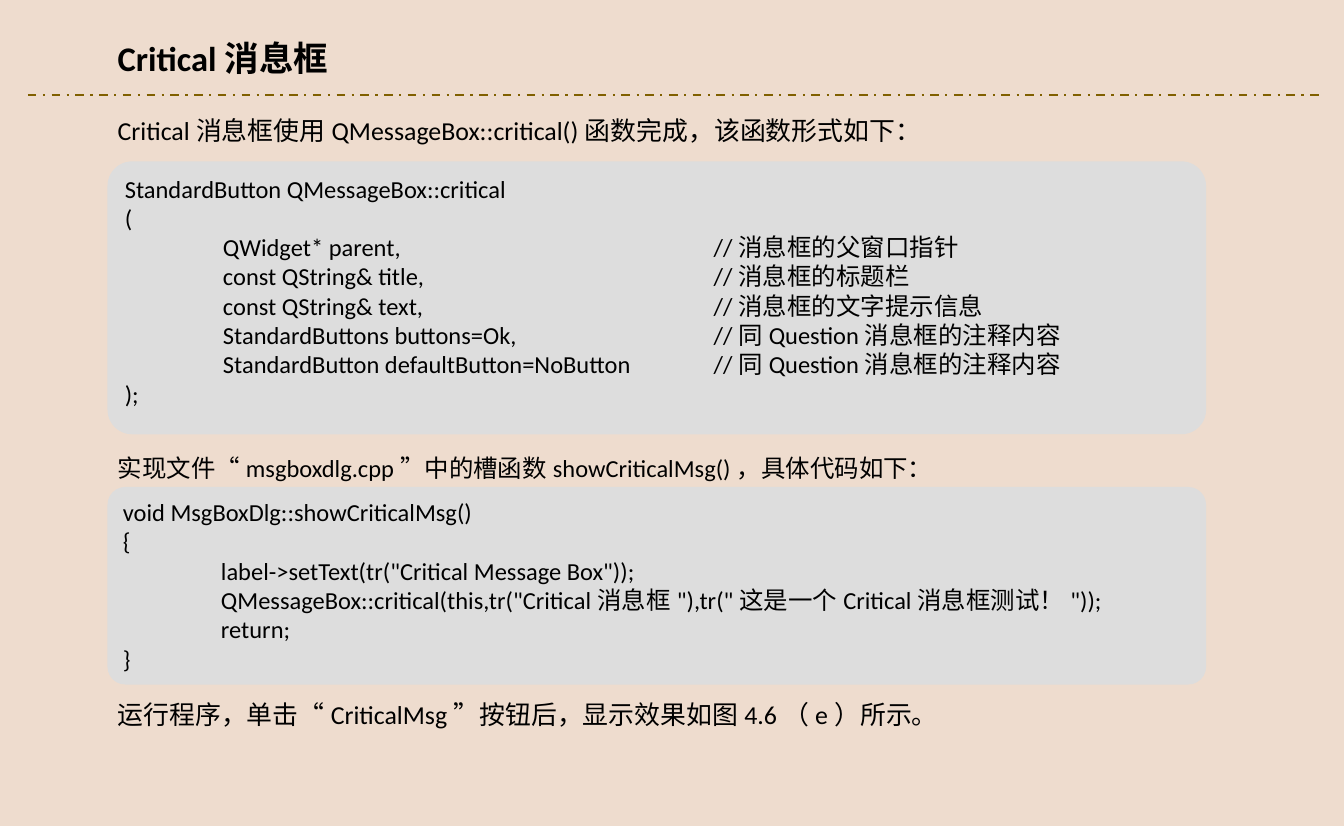
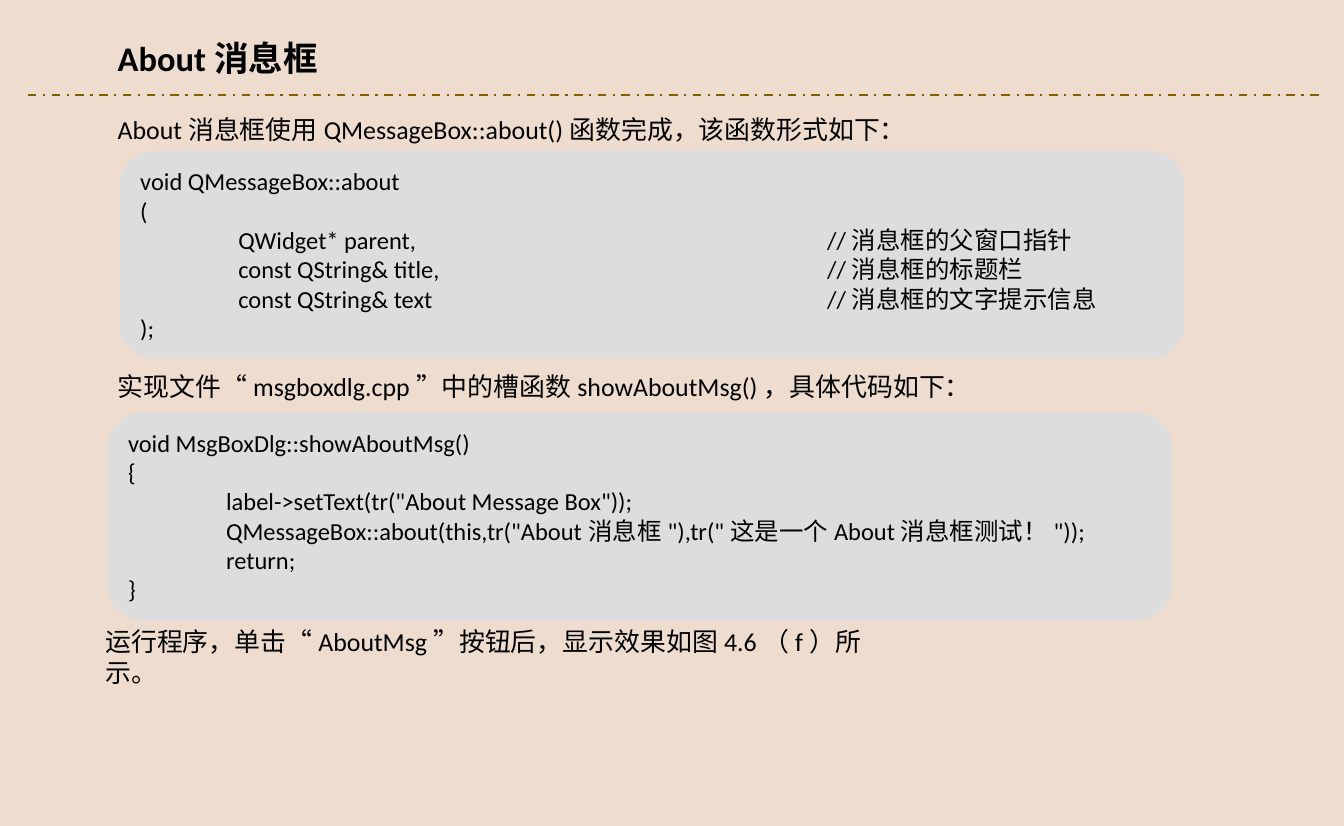
from lxml.etree import SubElement
from pptx import Presentation
from pptx.dml.color import RGBColor
from pptx.enum.dml import MSO_LINE
from pptx.enum.shapes import MSO_CONNECTOR, MSO_SHAPE
from pptx.enum.text import MSO_ANCHOR, PP_ALIGN
from pptx.oxml.ns import qn
from pptx.util import Pt

FONT = "Calibri"
SAND = RGBColor(0xEE, 0xDC, 0xCE)
GREY = RGBColor(0xDD, 0xDD, 0xDD)
BROWN = RGBColor(0x80, 0x60, 0x00)
BLACK = RGBColor(0, 0, 0)

TAB = 68.3  # width of one code indent
LEFT = 74.8


def fill_text(tf, lines, size, bold=False):
    tf.word_wrap = True
    tf.text = "\n".join(lines)
    for p in tf.paragraphs:
        p.alignment = PP_ALIGN.LEFT
        for r in p.runs:
            r.font.name, r.font.size, r.font.bold = FONT, Pt(size), bold
            r.font.color.rgb = BLACK


def add_text(s, box, text, size=18, bold=False):
    tb = s.shapes.add_textbox(*map(Pt, box))
    fill_text(tb.text_frame, [text], size, bold)


def add_code(s, box, lines, corner, comment_tab):
    """Grey panel of code; comments start comment_tab indents from the left."""
    sp = s.shapes.add_shape(MSO_SHAPE.ROUNDED_RECTANGLE, *map(Pt, box))
    sp.adjustments[0] = corner
    sp.shadow.inherit = False
    sp.fill.solid()
    sp.fill.fore_color.rgb = GREY
    sp.line.fill.background()
    tf = sp.text_frame
    tf.vertical_anchor = MSO_ANCHOR.TOP
    fill_text(tf, lines, 17)
    for p in tf.paragraphs:
        tabs = SubElement(p._p.get_or_add_pPr(), qn("a:tabLst"))
        for stop in (1, comment_tab):
            SubElement(tabs, qn("a:tab"), pos=str(Pt(stop * TAB)), algn="l")


def add_header(s, title):
    rule = s.shapes.add_connector(MSO_CONNECTOR.STRAIGHT, Pt(19.4), Pt(66.2), Pt(920.9), Pt(66.2))
    rule.line.color.rgb = BROWN
    rule.line.width = Pt(1.5)
    rule.line.dash_style = MSO_LINE.DASH_DOT
    SubElement(rule._element.spPr, qn("a:effectLst"))
    add_text(s, (LEFT, 22.3, 334, 36), title, 24, True)


def signature(result, kind, params):
    """Code lines of a message box function with commented parameters."""
    return [f"{result} QMessageBox::{kind.lower()}", "(",
            *(f"\t{param}\t//{note}" for param, note in params), ");"]


def slot(kind):
    return [f"void MsgBoxDlg::show{kind}Msg()", "{",
            f'\tlabel->setText(tr("{kind} Message Box"));',
            f'\tQMessageBox::{kind.lower()}(this,tr("{kind}消息框"),tr("这是一个{kind}消息框测试！"));',
            "\treturn;", "}"]


def message_box_slide(prs, kind, figure, result, params, boxes, corner, comment_tab, slot_size):
    """boxes: intro, signature, slot intro, slot code and closing line, top to bottom."""
    intro, signature_box, slot_intro, slot_box, closing = boxes
    s = prs.slides.add_slide(prs.slide_layouts[6])
    add_header(s, f"{kind}消息框")
    add_text(s, intro, f"{kind}消息框使用QMessageBox::{kind.lower()}()函数完成，该函数形式如下：")
    add_code(s, signature_box, signature(result, kind, params), corner, comment_tab)
    add_text(s, slot_intro, f"实现文件“msgboxdlg.cpp”中的槽函数show{kind}Msg()，具体代码如下：", slot_size)
    add_code(s, slot_box, slot(kind), corner, comment_tab)
    add_text(s, closing, f"运行程序，单击“{kind}Msg”按钮后，显示效果如图4.6（{figure}）所示。")


def main():
    prs = Presentation()
    prs.slide_width = Pt(935.38)
    prs.slide_height = Pt(575)
    background = prs.slide_master.background.fill
    background.solid()
    background.fore_color.rgb = SAND

    parent = ("QWidget* parent,", "消息框的父窗口指针")
    title = ("const QString& title,", "消息框的标题栏")
    text_note = "消息框的文字提示信息"
    button_note = "同Question消息框的注释内容"

    message_box_slide(
        prs, "Critical", "e", "StandardButton",
        [parent, title, ("const QString& text,", text_note),
         ("StandardButtons buttons=Ok,", button_note),
         ("StandardButton defaultButton=NoButton", button_note)],
        [(LEFT, 76.3, 579.6, 29), (LEFT, 112.3, 764.6, 190), (LEFT, 311.6, 619.2, 28),
         (LEFT, 339, 764.6, 137.5), (LEFT, 483, 567.4, 29)],
        corner=0.09, comment_tab=6, slot_size=17)

    message_box_slide(
        prs, "About", "f", "void",
        [parent, title, ("const QString& text", text_note)],
        [(LEFT, 75.6, 573.1, 29), (83.3, 105.1, 740.9, 144.7), (LEFT, 254.7, 594, 29),
         (LEFT, 287.1, 740.9, 144.7), (66.2, 432, 547.9, 29)],
        corner=0.17, comment_tab=7, slot_size=18)

    prs.save("out.pptx")


if __name__ == "__main__":
    main()
